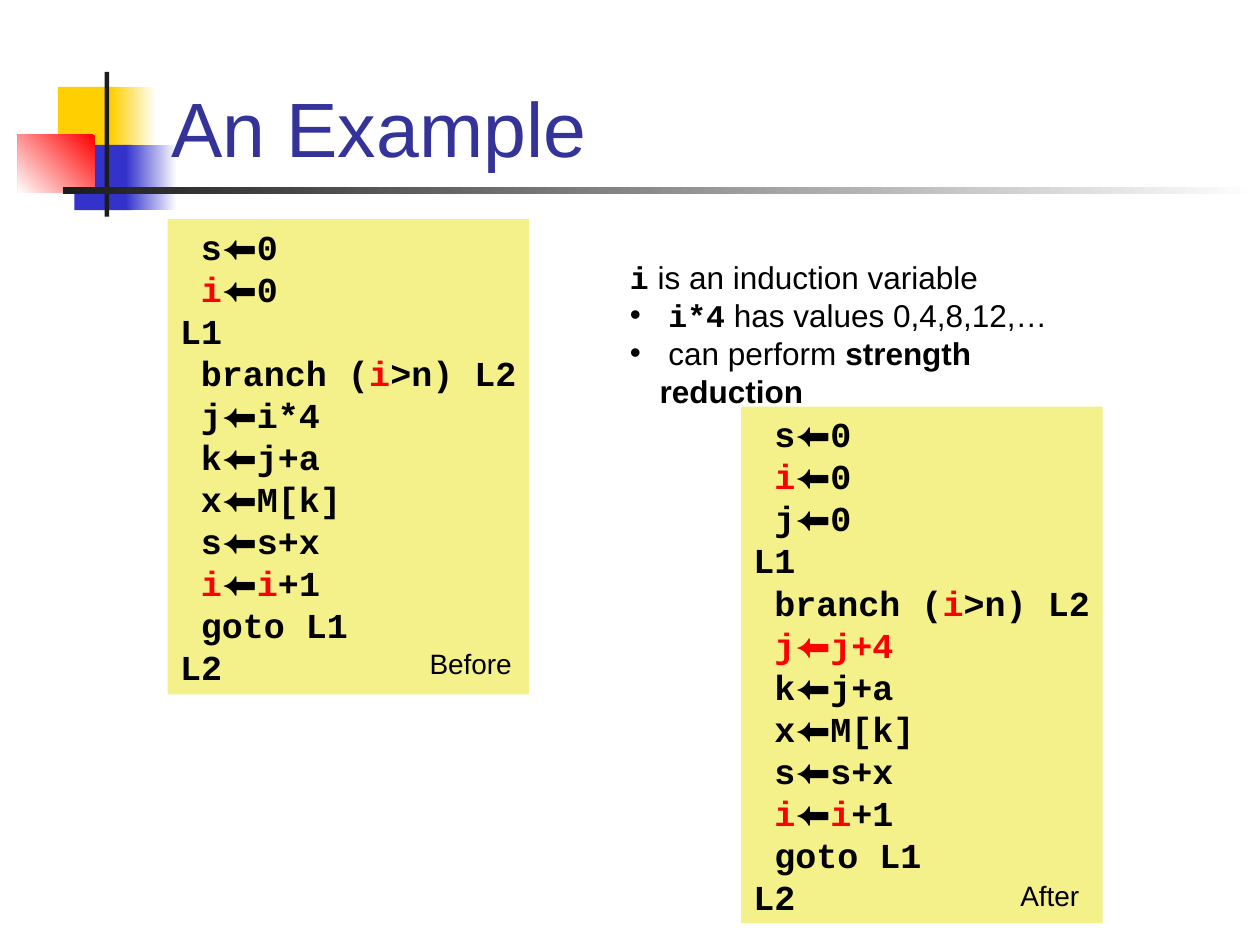
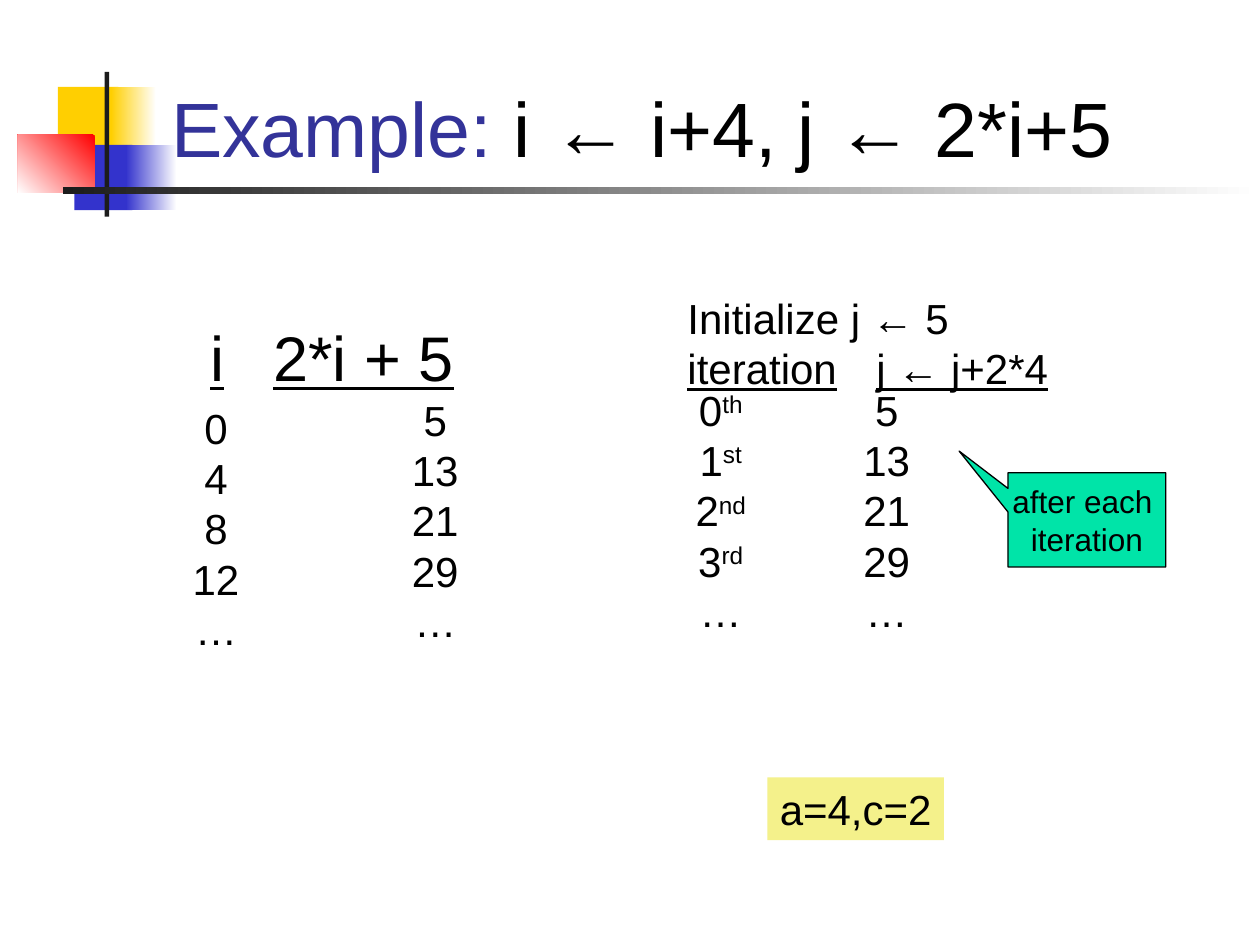
from itertools import groupby

from lxml.etree import SubElement
from pptx import Presentation
from pptx.dml.color import RGBColor
from pptx.enum.shapes import MSO_SHAPE as Shape
from pptx.enum.text import MSO_ANCHOR as Anchor, PP_ALIGN as Align
from pptx.oxml.ns import qn
from pptx.util import Cm, Pt

COLORS = {
    "black": "000000", "white": "FFFFFF", "title": "333399", "yellow": "FFCF01",
    "blue": "3333CC", "red": "FF0000", "dark": "1C1C1C", "code": "F4F18B",
    "callout": "00E4A8",
}
BODY, MONO = "Arial", "Courier New"
ARROW = "⬅"
CODE_INDENT = 0.42


def rgb(name):
    return RGBColor.from_string(COLORS[name])


def add_span(para, text, size=18, font=BODY, color="black", bold=False,
             underline=False, raised=False):
    span = para.add_run()
    span.text = text
    span.font.size, span.font.name = Pt(size), font
    span.font.bold, span.font.underline = bold, underline
    span.font.color.rgb = rgb(color)
    if raised:
        span.font._element.set("baseline", "30000")


def set_layout(para, left=0, bullet=None, tab=None):
    """Set left margin, hanging bullet and tab stop; lengths in cm."""
    props = para._p.get_or_add_pPr()
    props.set("marL", str(Cm(left)))
    props.set("indent", str(-Cm(left) if bullet else 0))
    if bullet:
        SubElement(props, qn("a:buFont"), typeface=BODY)
        SubElement(props, qn("a:buChar"), char=bullet)
    if tab:
        stops = SubElement(props, qn("a:tabLst"))
        SubElement(stops, qn("a:tab"), pos=str(Cm(tab)), algn="l")


def write(shape, lines, align=Align.LEFT, anchor=Anchor.TOP, wrap=False,
          layouts=None, **style):
    """Fill a shape; a line is a string or a list of (text, format) spans."""
    frame = shape.text_frame
    frame.word_wrap, frame.vertical_anchor = wrap, anchor
    for index, line in enumerate(lines):
        para = frame.add_paragraph() if index else frame.paragraphs[0]
        para.alignment = align
        if layouts:
            set_layout(para, **layouts[index])
        spans = [(line, {})] if isinstance(line, str) else line
        for text, extra in spans:
            add_span(para, text, **{**style, **extra})


def code_spans(line):
    """Split a code line; parts between bars are red, arrows use the body font."""
    spans = []
    for number, part in enumerate(line.split("|")):
        color = "red" if number % 2 else "black"
        for is_arrow, chars in groupby(part, key=lambda char: char == ARROW):
            font = BODY if is_arrow else MONO
            spans.append(("".join(chars), {"font": font, "color": color}))
    return spans


class Slides:
    def __init__(self):
        self.deck = Presentation()
        self.deck.slide_width, self.deck.slide_height = Cm(25.4), Cm(19.05)
        self.page = None

    def new_page(self, *title):
        self.page = self.deck.slides.add_slide(self.deck.slide_layouts[6])
        self.ornament()
        self.text([list(title)], 3.2, 0.43, 21.64, 3.18, size=44, color="title",
                  anchor=Anchor.BOTTOM, wrap=True)

    def shape(self, left, top, width, height, fill, kind=Shape.RECTANGLE):
        box = self.page.shapes.add_shape(
            kind, Cm(left), Cm(top), Cm(width), Cm(height))
        box.shadow.inherit = False
        box.fill.solid()
        box.fill.fore_color.rgb = rgb(fill)
        box.line.fill.background()
        return box

    def fade(self, left, top, width, height, start, end, angle=180):
        box = self.shape(left, top, width, height, start)
        box.fill.gradient()
        box.fill.gradient_angle = angle
        for stop, name in zip(box.fill.gradient_stops, (start, end)):
            stop.color.rgb = rgb(name)
        for stop, position in zip(box.fill.gradient_stops, (0, 1)):
            stop.position = position

    def ornament(self):
        self.shape(1.17, 1.75, 1.22, 1.32, "yellow")
        self.fade(2.24, 1.75, 0.91, 1.32, "white", "yellow")
        self.shape(1.5, 2.92, 1.17, 1.32, "blue")
        self.fade(2.54, 2.92, 1.02, 1.32, "white", "blue")
        self.fade(0.36, 2.72, 1.55, 1.17, "red", "white", angle=225)
        self.shape(2.11, 1.45, 0.09, 2.92, "dark")
        self.fade(1.27, 3.78, 24.13, 0.13, "white", "dark")

    def text(self, lines, left, top, width, height, **style):
        box = self.page.shapes.add_textbox(
            Cm(left), Cm(top), Cm(width), Cm(height))
        write(box, lines, **style)

    def code(self, lines, left, top, height):
        """Code panel in which every line but a label is indented."""
        box = self.shape(left, top, 7.29, height, "code")
        layouts = [{"left": 0 if line.startswith("L") else CODE_INDENT}
                   for line in lines]
        write(box, [code_spans(line) for line in lines], layouts=layouts,
              size=20, bold=True)

    def column(self, lines, left, top, width=1.45):
        self.text(lines, left, top, width, 5.33, size=24, align=Align.CENTER)

    def callout(self, lines, left, top, width, height, tip):
        box = self.shape(left, top, width, height, "callout",
                         Shape.RECTANGULAR_CALLOUT)
        box.adjustments[0], box.adjustments[1] = tip
        box.line.color.rgb = rgb("black")
        box.line.width = Pt(0.75)
        write(box, lines, align=Align.CENTER, anchor=Anchor.MIDDLE)


def build_strength_reduction(slides):
    slides.new_page(("An Example", {}))
    start = ["s⬅0", "|i|⬅0"]
    test = ["L1", "branch (|i|>n) L2"]
    rest = ["k⬅j+a", "x⬅M[k]", "s⬅s+x", "|i|⬅|i|+1", "goto L1", "L2"]
    slides.code(start + test + ["j⬅i*4"] + rest, 3.38, 4.42, 9.58)
    slides.text(["Before"], 8.41, 12.9, 2.16, 0.94, size=16)
    slides.code(start + ["j⬅0"] + test + ["|j⬅j+4|"] + rest, 14.94, 8.2, 10.41)
    slides.text(["After"], 20.32, 17.58, 1.7, 0.94, size=16)

    mono = {"font": MONO, "bold": True}
    bullet = {"left": 0.6, "bullet": "•"}
    notes = [
        [("i", mono), (" is an induction variable", {})],
        [(" ", {}), ("i*4", mono), (" has values 0,4,8,12,…", {})],
        [(" can perform ", {}), ("strength reduction", {"bold": True})],
    ]
    slides.text(notes, 12.45, 5.08, 10.08, 2.54, wrap=True,
                layouts=[{}, bullet, bullet])


def build_iterations(slides):
    slides.new_page(("Example: ", {}), ("i ← i+4, j ← 2*i+5", {"color": "black"}))
    values = ["5", "13", "21", "29", "…"]
    slides.text(["i\t2*i + 5"], 3.99, 6.3, 7.2, 1.78, size=36, underline=True,
                wrap=True, layouts=[{"tab": 2.76}])
    slides.column(["0", "4", "8", "12", "…"], 3.63, 7.98)
    slides.column(values, 8.05, 7.82)

    slides.text(["Initialize j ← 5", [("iteration\tj ← j+2*4", {"underline": True})]],
                13.61, 5.77, 8.2, 2.29, size=24, wrap=True,
                layouts=[{}, {"tab": 3.95}])
    ordinals = [[(digit, {}), (ending, {"raised": True})]
                for digit, ending in zip("0123", ("th", "st", "nd", "rd"))]
    slides.column(ordinals + ["…"], 13.77, 7.62, 1.52)
    slides.column(values, 17.15, 7.62)
    slides.callout(["after each ", "iteration"], 20.32, 9.53, 3.18, 1.9,
                   tip=(-0.81, -0.73))
    write(slides.shape(15.47, 15.67, 3.56, 1.27, "code"), ["a=4,c=2"], size=24)


def main():
    slides = Slides()
    build_strength_reduction(slides)
    build_iterations(slides)
    slides.deck.save("out.pptx")


if __name__ == "__main__":
    main()
